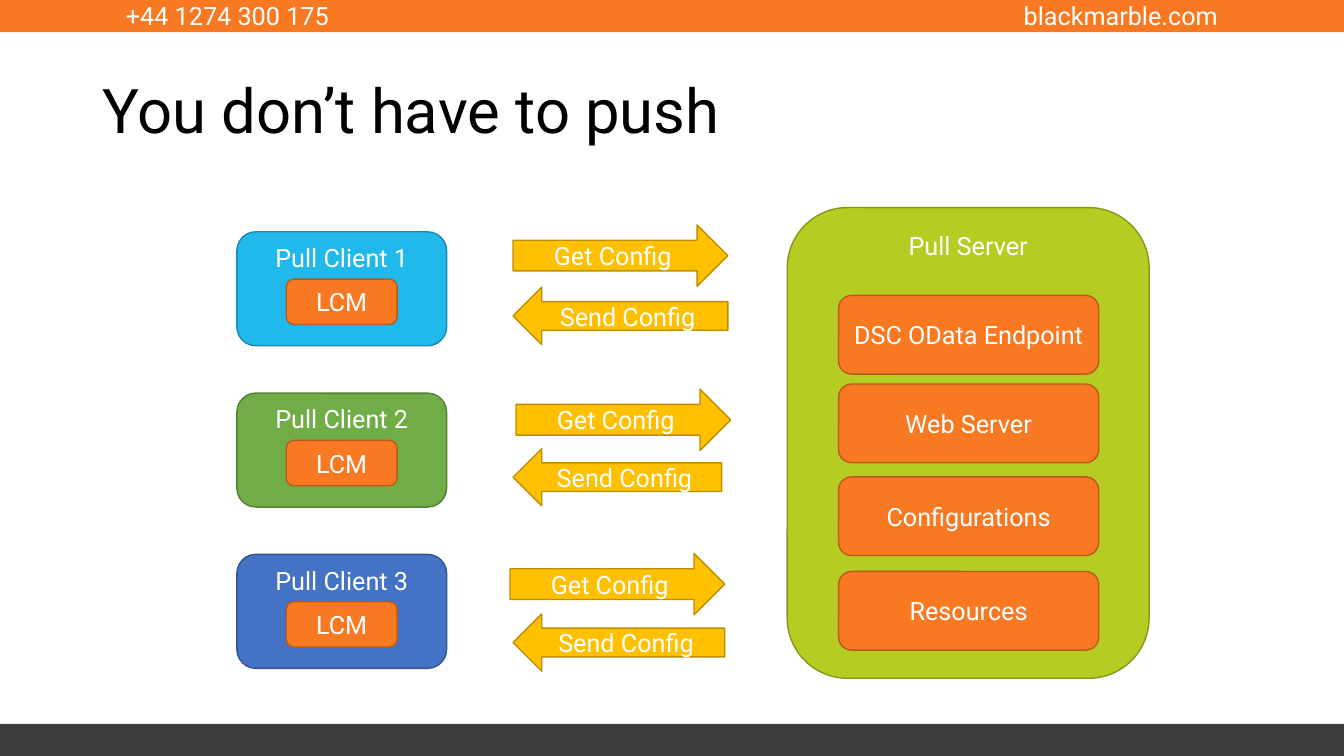
from pptx import Presentation
from pptx.dml.color import RGBColor
from pptx.enum.shapes import MSO_SHAPE as Shape
from pptx.enum.text import MSO_ANCHOR as Anchor, PP_ALIGN as Align
from pptx.util import Pt

COLORS = {
    "white": "FFFFFF", "black": "000000", "charcoal": "3C3C3B",
    "orange": "F97923", "orange_edge": "B85A1A",
    "cyan": "21B9EC", "cyan_edge": "1889AF",
    "green": "70AD47", "green_edge": "538035",
    "blue": "4472C4", "blue_edge": "325491",
    "lime": "B6CC22", "lime_edge": "879719",
    "gold": "FFC000", "gold_edge": "BD8E00",
}
FONT = "Roboto"
SLIDE_W, SLIDE_H = 960, 540
BAR_H = 23

CLIENT_TOP, CLIENT_STEP = 165.6, 115.2
CLIENT_COLORS = ("cyan", "green", "blue")
# Left of "Get", top of "Get", top of "Send", width of "Send" for each client
EXCHANGES = (
    (366.5, 160.6, 205.2, 153.4),
    (368.6, 277.9, 320.4, 149),
    (364.3, 395.3, 438.5, 151.2),
)
SERVER_PARTS = (
    ("DSC OData Endpoint", 211),
    ("Web Server", 274.3),
    ("Configurations", 340.6),
    ("Resources", 408.2),
)


def rgb(name):
    return RGBColor.from_string(COLORS[name])


def write(frame, text, size=18, color="white", align=Align.CENTER, anchor=Anchor.MIDDLE):
    frame.word_wrap = True
    frame.vertical_anchor = anchor
    line = frame.paragraphs[0]
    line.alignment = align
    run = line.add_run()
    run.text = text
    run.font.name = FONT
    run.font.size = Pt(size)
    run.font.color.rgb = rgb(color)
    return line


def add_label(slide, box, text, **style):
    label = slide.shapes.add_textbox(*map(Pt, box))
    return write(label.text_frame, text, **style)


def add_bar(slide, top, color):
    bar = slide.shapes.add_shape(Shape.RECTANGLE, 0, Pt(top), Pt(SLIDE_W), Pt(BAR_H))
    bar.shadow.inherit = False
    bar.fill.solid()
    bar.fill.fore_color.rgb = rgb(color)
    bar.line.fill.background()


def add_block(slide, kind, box, text, color, anchor=Anchor.MIDDLE):
    """Add a filled shape, edged in the darker shade of its colour, with a caption."""
    block = slide.shapes.add_shape(kind, *map(Pt, box))
    block.shadow.inherit = False
    block.fill.solid()
    block.fill.fore_color.rgb = rgb(color)
    block.line.color.rgb = rgb(color + "_edge")
    block.line.width = Pt(1)
    write(block.text_frame, text, anchor=anchor)


def add_client(slide, number, top, color):
    add_block(slide, Shape.ROUNDED_RECTANGLE, (169.2, top, 149.8, 81.4),
              f"Pull Client {number}", color, Anchor.TOP)
    add_block(slide, Shape.ROUNDED_RECTANGLE, (204.5, top + 33.8, 79.2, 32.4),
              "LCM", "orange")


def add_server(slide):
    add_block(slide, Shape.ROUNDED_RECTANGLE, (562.3, 148.3, 258.5, 336.2),
              "Pull Server", "lime", Anchor.TOP)
    for part, top in SERVER_PARTS:
        add_block(slide, Shape.ROUNDED_RECTANGLE, (599, top, 185.8, 56.2), part, "orange")


def add_exchange(slide, get_left, get_top, send_top, send_width):
    add_block(slide, Shape.RIGHT_ARROW, (get_left, get_top, 153.4, 43.9),
              "Get Config", "gold")
    add_block(slide, Shape.LEFT_ARROW, (366.5, send_top, send_width, 41),
              "Send Config", "gold")


def main():
    deck = Presentation()
    deck.slide_width, deck.slide_height = Pt(SLIDE_W), Pt(SLIDE_H)
    slide = deck.slides.add_slide(deck.slide_layouts[6])

    add_bar(slide, 0, "orange")
    add_label(slide, (82.8, -3.6, 170, 28.8), "+44 1274 300 175",
              align=Align.LEFT, anchor=Anchor.TOP)
    add_label(slide, (707, -3.6, 170, 28.8), "blackmarble.com",
              align=Align.RIGHT, anchor=Anchor.TOP)
    add_bar(slide, SLIDE_H - BAR_H, "charcoal")
    title = add_label(slide, (66.2, 28.8, 828, 104.4), "You don’t have to push",
                      size=44, color="black", align=Align.LEFT)
    title.line_spacing = 0.9

    for index, color in enumerate(CLIENT_COLORS):
        add_client(slide, index + 1, CLIENT_TOP + index * CLIENT_STEP, color)
    add_server(slide)
    for exchange in EXCHANGES:
        add_exchange(slide, *exchange)

    deck.save("out.pptx")


if __name__ == "__main__":
    main()
